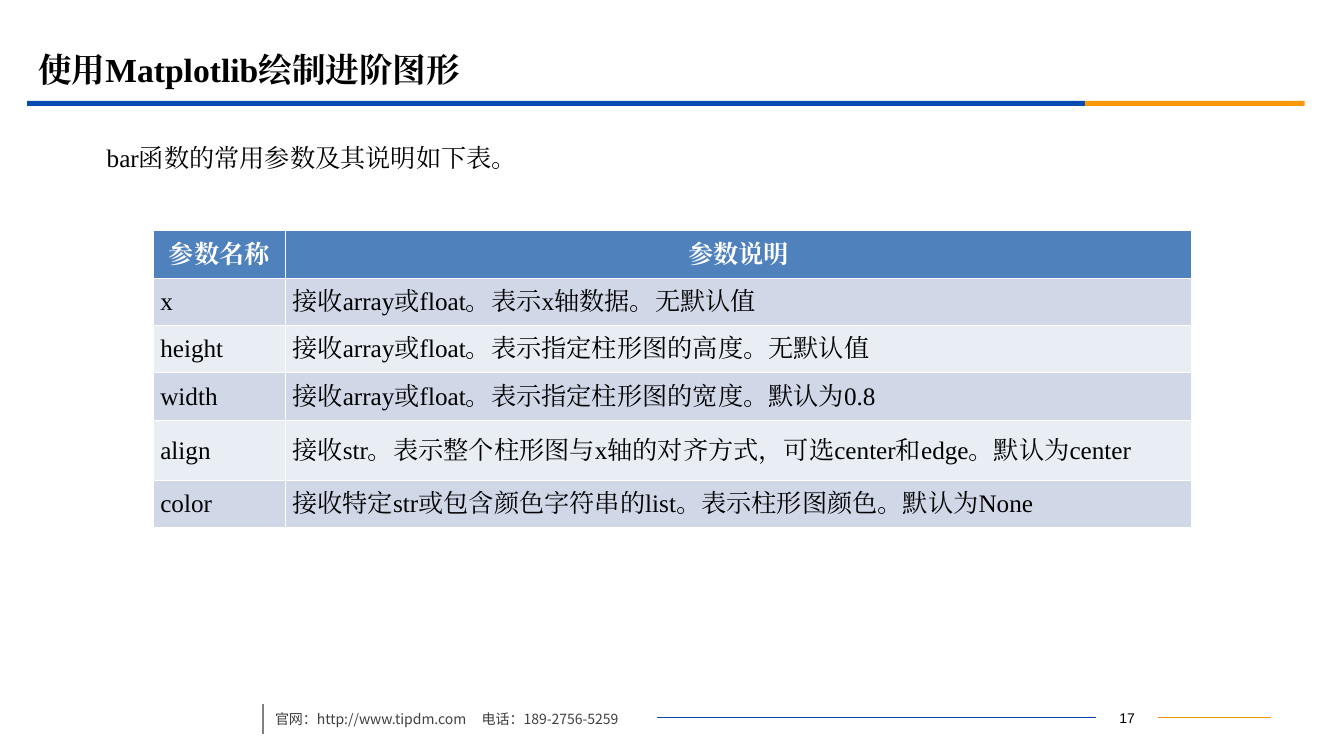
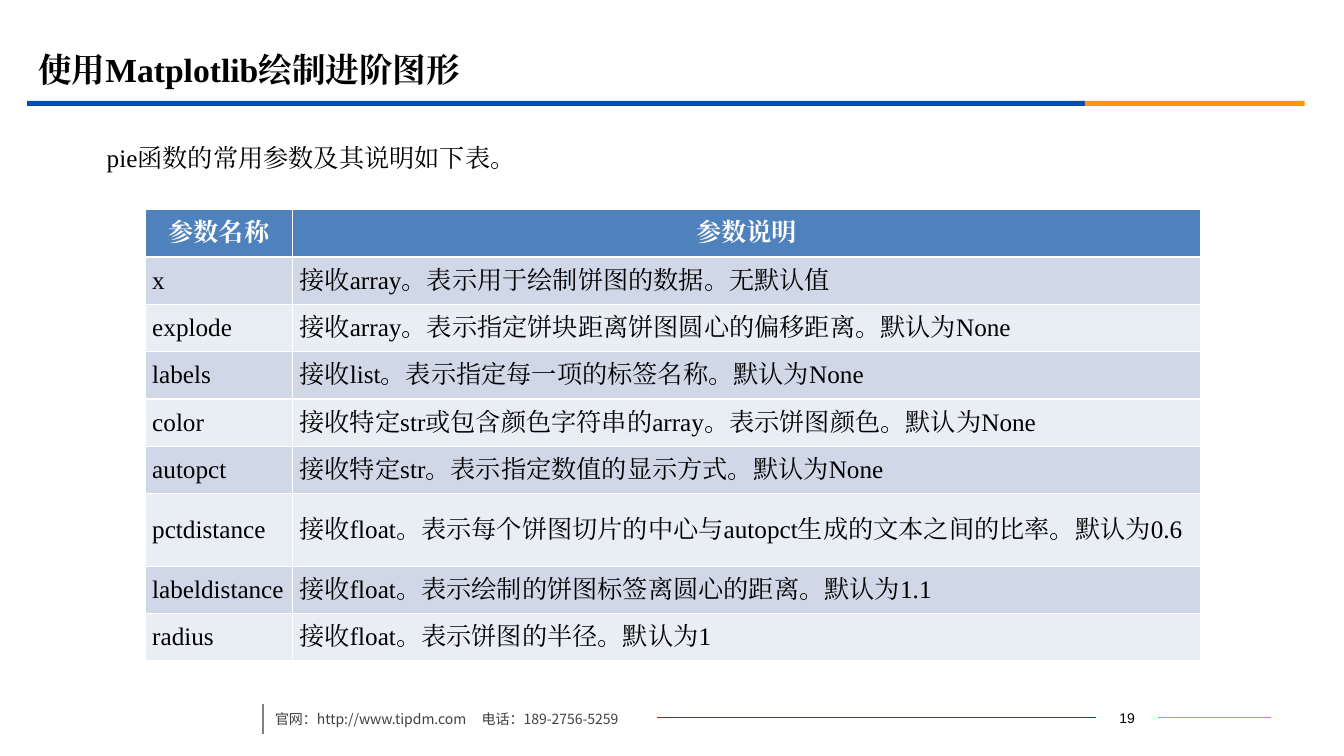
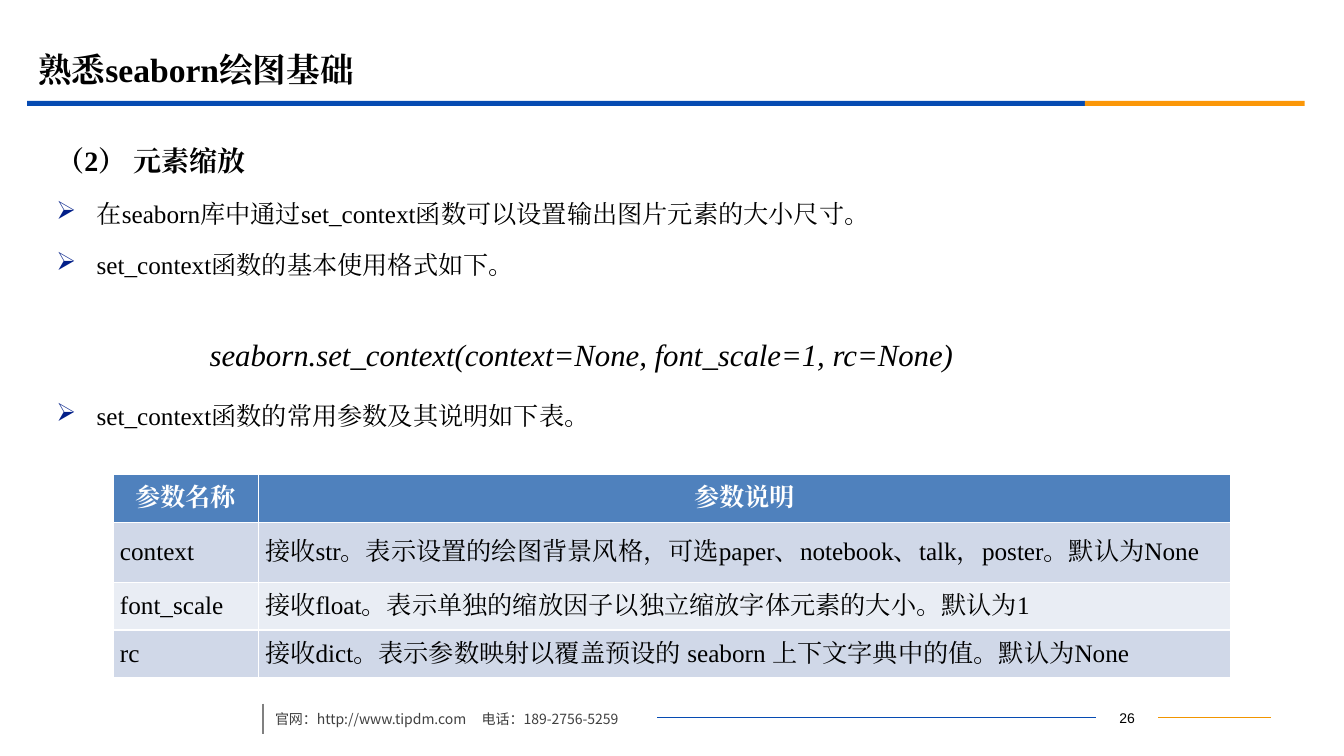
from lxml import etree
from pptx import Presentation
from pptx.dml.color import RGBColor
from pptx.enum import shapes, text
from pptx.oxml import ns
from pptx.util import Inches, Pt

BLUE = RGBColor(0x06, 0x4B, 0xB2)
ORANGE = RGBColor(0xFB, 0x97, 0x08)
FOOTER_ORANGE = RGBColor(0xF1, 0x95, 0x00)
GRAY = RGBColor(0x80, 0x80, 0x80)
DARK_GRAY = RGBColor(0x40, 0x40, 0x40)
BLACK = RGBColor(0x00, 0x00, 0x00)
WHITE = RGBColor(0xFF, 0xFF, 0xFF)
BULLET_BLUE = RGBColor(0x03, 0x20, 0x89)
HEADER_FILL = RGBColor(0x4F, 0x81, 0xBD)
ROW_FILLS = RGBColor(0xD0, 0xD8, 0xE8), RGBColor(0xE9, 0xED, 0xF4)

SERIF, SANS, CJK = "Times New Roman", "Arial", "Noto Sans CJK SC"
BODY = {"size": Pt(18), "name": SERIF}
TITLE = {"size": Pt(24), "name": SERIF, "bold": True}
SUBTITLE = {"size": Pt(20), "name": SERIF, "bold": True}
CODE = {"size": Pt(22), "name": SERIF, "italic": True}
TABLE_HEAD = {**BODY, "bold": True}
TABLE_BODY = {**BODY, "bold": False}
PAGE = {"size": Pt(10), "name": SANS}
CONTACT = {"size": Pt(10), "name": CJK}
LOOSE = {"line_spacing": 1.5}
BULLET = {"line_spacing": 1.5, "space_before": Pt(4)}
CENTERED = {"alignment": text.PP_ALIGN.CENTER}
CELL = {
    "vertical_anchor": text.MSO_ANCHOR.MIDDLE,
    "margin_left": Inches(0.07),
    "margin_right": Inches(0.07),
    "margin_top": 0,
    "margin_bottom": 0,
}

ROW_HEIGHT = 0.47
TABLE_HEADINGS = ("参数名称", "参数说明")
BAR_ROWS = [
    ("x", "接收array或float。表示x轴数据。无默认值"),
    ("height", "接收array或float。表示指定柱形图的高度。无默认值"),
    ("width", "接收array或float。表示指定柱形图的宽度。默认为0.8"),
    ("align", "接收str。表示整个柱形图与x轴的对齐方式，可选center和edge。默认为center"),
    ("color", "接收特定str或包含颜色字符串的list。表示柱形图颜色。默认为None"),
]
PIE_ROWS = [
    ("x", "接收array。表示用于绘制饼图的数据。无默认值"),
    ("explode", "接收array。表示指定饼块距离饼图圆心的偏移距离。默认为None"),
    ("labels", "接收list。表示指定每一项的标签名称。默认为None"),
    ("color", "接收特定str或包含颜色字符串的array。表示饼图颜色。默认为None"),
    ("autopct", "接收特定str。表示指定数值的显示方式。默认为None"),
    ("pctdistance", "接收float。表示每个饼图切片的中心与autopct生成的文本之间的比率。默认为0.6"),
    ("labeldistance", "接收float。表示绘制的饼图标签离圆心的距离。默认为1.1"),
    ("radius", "接收float。表示饼图的半径。默认为1"),
]
CONTEXT_ROWS = [
    ("context", "接收str。表示设置的绘图背景风格，可选paper、notebook、talk，poster。默认为None"),
    ("font_scale", "接收float。表示单独的缩放因子以独立缩放字体元素的大小。默认为1"),
    ("rc", "接收dict。表示参数映射以覆盖预设的 seaborn 上下文字典中的值。默认为None"),
]


def apply_format(target, values):
    for name, value in values.items():
        setattr(target, name, value)


def add_xml(parent, tag, **attributes):
    return etree.SubElement(parent, ns.qn(tag), attributes)


def write(p, words, font, color=BLACK, layout=None):
    apply_format(p, layout or {})
    r = p.add_run()
    r.text = words
    apply_format(r.font, font)
    r.font.color.rgb = color
    add_xml(r._r.get_or_add_rPr(), "a:ea", typeface=font["name"])


def set_indent(p, left, first):
    pPr = p._p.get_or_add_pPr()
    pPr.set("marL", str(Inches(left)))
    pPr.set("indent", str(Inches(first)))
    return pPr


def add_bullet(p):
    pPr = set_indent(p, 0.4, -0.4)
    add_xml(add_xml(pPr, "a:buClr"), "a:srgbClr", val=str(BULLET_BLUE))
    add_xml(pPr, "a:buChar", char="➢")


def add_tab(p, position):
    tabs = add_xml(p._p.get_or_add_pPr(), "a:tabLst")
    add_xml(tabs, "a:tab", pos=str(Inches(position)), algn="l")


def add_box(s, box, anchor=text.MSO_ANCHOR.TOP):
    tf = s.shapes.add_textbox(*map(Inches, box)).text_frame
    apply_format(tf, {"word_wrap": True, "vertical_anchor": anchor})
    return tf


def add_band(s, left, width, color):
    sp = s.shapes.add_shape(
        shapes.MSO_SHAPE.RECTANGLE, *map(Inches, (left, 1, width, 0.05)))
    sp.shadow.inherit = False
    sp.fill.solid()
    sp.fill.fore_color.rgb = color
    sp.line.fill.background()


def add_line(s, ends, color, width):
    line = s.shapes.add_connector(
        shapes.MSO_CONNECTOR.STRAIGHT, *map(Inches, ends))
    line.line.color.rgb = color
    line.line.width = Pt(width)
    add_xml(line._element.spPr, "a:effectLst")


def add_footer(s, number):
    page = add_box(s, (10.87, 6.99, 0.62, 0.25)).paragraphs[0]
    write(page, str(number), PAGE, layout=CENTERED)
    add_line(s, (11.49, 7.12, 12.61, 7.12), FOOTER_ORANGE, 0.75)
    add_line(s, (6.52, 7.12, 10.87, 7.12), BLUE, 0.75)
    add_line(s, (2.61, 6.98, 2.61, 7.28), GRAY, 1.25)
    contact = add_box(s, (2.63, 6.92, 5.36, 0.35)).paragraphs[0]
    add_tab(contact, 2.05)
    write(contact, "官网：http://www.tipdm.com\t电话：189-2756-5259",
          CONTACT, DARK_GRAY, LOOSE)


def add_slide(prs, title, number):
    s = prs.slides.add_slide(prs.slide_layouts[6])
    add_band(s, 0.27, 10.49, BLUE)
    add_band(s, 10.76, 2.18, ORANGE)
    add_footer(s, number)
    tf = add_box(s, (0.28, 0.39, 12, 0.58), text.MSO_ANCHOR.MIDDLE)
    write(tf.paragraphs[0], title, TITLE)
    return s


def add_body(s):
    return add_box(s, (0.46, 1.21, 12.15, 5.53))


def add_intro(s, words):
    p = add_body(s).paragraphs[0]
    set_indent(p, 0, 0.5)
    write(p, words, BODY, layout=LOOSE)


def add_parameters(s, left, top, widths, rows, tall_rows=None):
    heights = [ROW_HEIGHT] * (len(rows) + 1)
    for index, height in (tall_rows or {}).items():
        heights[index] = height
    table = s.shapes.add_table(
        len(heights), len(widths),
        *map(Inches, (left, top, sum(widths), sum(heights)))).table
    for column, width in zip(table.columns, widths):
        column.width = Inches(width)
    for i, words in enumerate([TABLE_HEADINGS, *rows]):
        table.rows[i].height = Inches(heights[i])
        for cell, value in zip(table.rows[i].cells, words):
            apply_format(cell, CELL)
            cell.fill.solid()
            p = cell.text_frame.paragraphs[0]
            if i == 0:
                cell.fill.fore_color.rgb = HEADER_FILL
                write(p, value, TABLE_HEAD, WHITE, CENTERED)
            else:
                cell.fill.fore_color.rgb = ROW_FILLS[(i - 1) % 2]
                write(p, value, TABLE_BODY)


def add_scaling_text(s):
    tf = add_body(s)
    write(tf.paragraphs[0], "（2） 元素缩放", SUBTITLE, layout=LOOSE)
    after_code = {**BULLET, "space_before": Pt(76)}
    for words, layout in (
        ("在seaborn库中通过set_context函数可以设置输出图片元素的大小尺寸。", BULLET),
        ("set_context函数的基本使用格式如下。", BULLET),
        ("set_context函数的常用参数及其说明如下表。", after_code),
    ):
        p = tf.add_paragraph()
        add_bullet(p)
        write(p, words, BODY, layout=layout)
    code = add_box(s, (1.59, 3.28, 10.69, 0.47)).paragraphs[0]
    set_indent(code, 0.39, 0)
    write(code, "seaborn.set_context(context=None, font_scale=1, rc=None)", CODE)


def main():
    prs = Presentation()
    prs.slide_width, prs.slide_height = Inches(13.33), Inches(7.5)

    s = add_slide(prs, "使用Matplotlib绘制进阶图形", 17)
    add_intro(s, "bar函数的常用参数及其说明如下表。")
    add_parameters(s, 1.52, 2.29, (1.31, 8.99), BAR_ROWS)

    s = add_slide(prs, "使用Matplotlib绘制进阶图形", 19)
    add_intro(s, "pie函数的常用参数及其说明如下表。")
    add_parameters(s, 1.44, 2.08, (1.46, 9.01), PIE_ROWS, {6: 0.72})

    s = add_slide(prs, "熟悉seaborn绘图基础", 26)
    add_scaling_text(s)
    add_parameters(s, 1.12, 4.71, (1.44, 9.65), CONTEXT_ROWS)

    prs.save("out.pptx")


if __name__ == "__main__":
    main()
